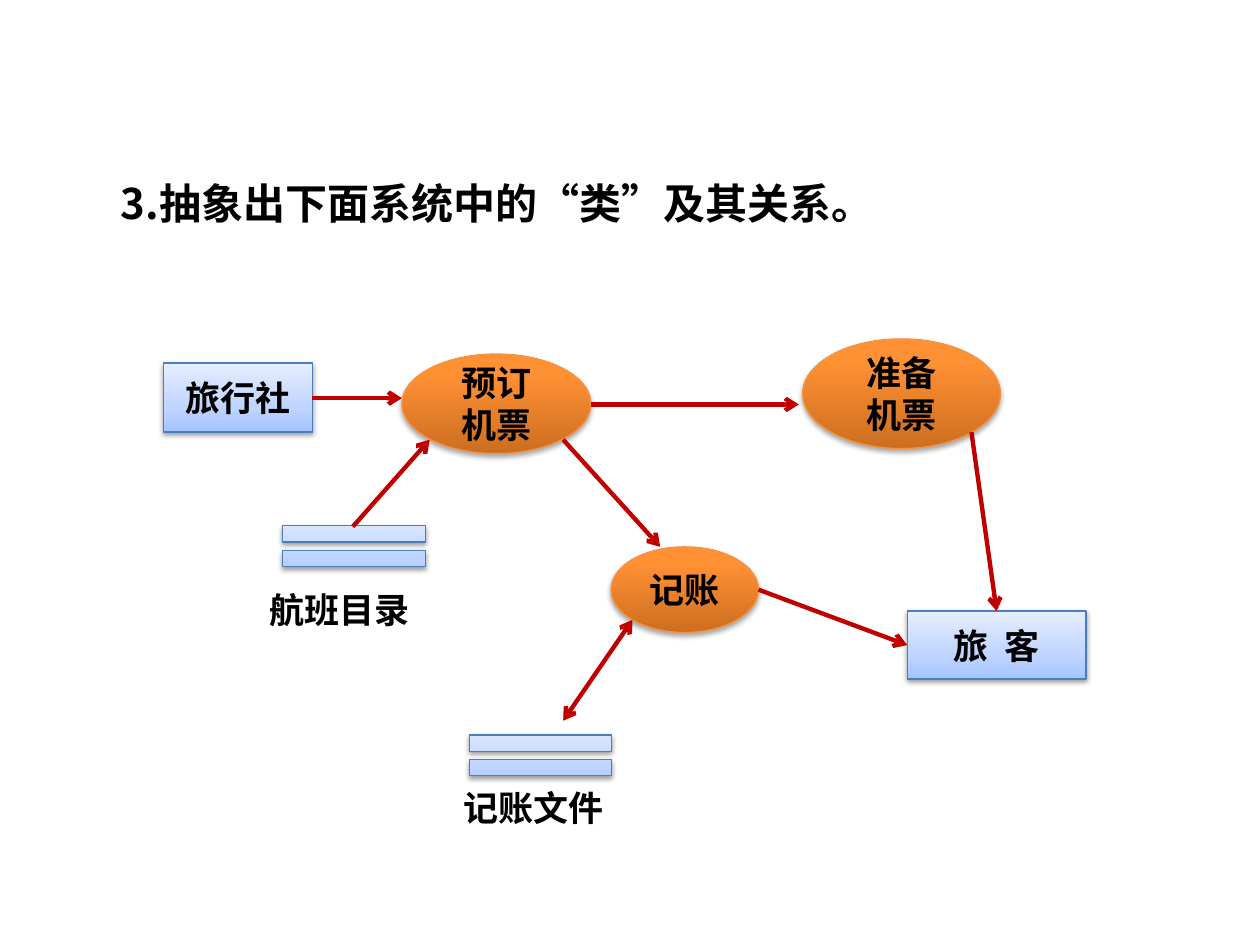
from lxml.etree import SubElement
from pptx import Presentation
from pptx.dml.color import RGBColor
from pptx.enum.shapes import MSO_CONNECTOR, MSO_SHAPE
from pptx.enum.text import MSO_ANCHOR, MSO_AUTO_SIZE, PP_ALIGN
from pptx.oxml.ns import qn
from pptx.util import Inches, Pt

CJK_FONT = "Noto Sans CJK SC"
BLUE = {"stops": [(0, "A4C4FF"), (35, "BFD4FF"), (100, "E6EEFF")],
        "line": "4B7EBC", "alpha": 38, "dist": 1.6}
ORANGE = {"stops": [(0, "CC6E20"), (80, "FF9034"), (100, "FF9136")],
          "line": "F69240", "alpha": 35, "dist": 1.8}


def color(value):
    return RGBColor.from_string(value)


def add_color(parent, value):
    return SubElement(parent, qn("a:srgbClr"), val=value)


def write(tf, lines, size=20, font="Calibri", align=None):
    tf.word_wrap = True
    for i, line in enumerate(lines):
        p = tf.paragraphs[0] if i == 0 else tf.add_paragraph()
        p.alignment = align
        r = p.add_run()
        r.text = line
        r.font.size = Pt(size)
        r.font.bold = True
        r.font.name = font
        r.font.color.rgb = color("000000")
        SubElement(r.font._element, qn("a:ea"), typeface=CJK_FONT)


def apply_style(s, style):
    s.fill.gradient()
    s.fill.gradient_angle = 90
    stops = s._element.spPr.find(qn("a:gradFill")).find(qn("a:gsLst"))
    for stop in list(stops):
        stops.remove(stop)
    for pos, value in style["stops"]:
        add_color(SubElement(stops, qn("a:gs"), pos=str(pos * 1000)), value)
    s.line.color.rgb = color(style["line"])
    s.line.width = Pt(0.75)
    s.shadow.inherit = False
    effects = s._element.spPr.find(qn("a:effectLst"))
    shadow = SubElement(effects, qn("a:outerShdw"), blurRad=str(Pt(3.1)),
                        dist=str(Pt(style["dist"])), dir="5400000", rotWithShape="0")
    SubElement(add_color(shadow, "000000"), qn("a:alpha"), val=str(style["alpha"] * 1000))


def add_node(slide, box, kind, style, lines=()):
    s = slide.shapes.add_shape(kind, *map(Inches, box))
    apply_style(s, style)
    s.text_frame.vertical_anchor = MSO_ANCHOR.MIDDLE
    write(s.text_frame, lines, align=PP_ALIGN.CENTER)


def add_label(slide, box, text, **font):
    tf = slide.shapes.add_textbox(*map(Inches, box)).text_frame
    write(tf, [text], **font)
    tf.auto_size = MSO_AUTO_SIZE.SHAPE_TO_FIT_TEXT


def add_arrow(slide, start, end, ends=("tailEnd",)):
    s = slide.shapes.add_connector(MSO_CONNECTOR.STRAIGHT, *map(Inches, start + end))
    s.line.color.rgb = color("C00000")
    s.line.width = Pt(2.5)
    for name in ends:
        SubElement(s.line._ln, qn(f"a:{name}"), type="arrow")
    SubElement(s._element.spPr, qn("a:effectLst"))


def add_diagram(slide):
    for box, text in [((1.3, 2.88, 1.18, 0.55), "旅行社"),
                      ((7.2, 4.85, 1.42, 0.54), "旅  客")]:
        add_node(slide, box, MSO_SHAPE.RECTANGLE, BLUE, [text])
    for box, lines in [((3.19, 2.81, 1.5, 0.79), ["预订", "机票"]),
                       ((6.37, 2.69, 1.57, 0.87), ["准备", "机票"]),
                       ((4.85, 4.34, 1.17, 0.68), ["记账"])]:
        add_node(slide, box, MSO_SHAPE.OVAL, ORANGE, lines)
    for left, top in [(2.04, 4.06), (3.52, 5.72)]:
        add_node(slide, (left, top, 1.54, 0.55), MSO_SHAPE.MATH_EQUAL, BLUE)
    add_label(slide, (2.04, 4.62, 1.48, 0.44), "航班目录")
    add_label(slide, (3.58, 6.19, 1.39, 0.44), "记账文件")
    for start, end in [((2.48, 3.16), (3.19, 3.16)),
                       ((4.69, 3.21), (6.34, 3.21)),
                       ((2.8, 4.18), (3.41, 3.49)),
                       ((4.47, 3.49), (5.24, 4.34)),
                       ((7.71, 3.43), (7.91, 4.85)),
                       ((6.02, 4.68), (7.2, 5.12))]:
        add_arrow(slide, start, end)
    add_arrow(slide, (5.02, 4.92), (4.47, 5.72), ("headEnd", "tailEnd"))


def main():
    prs = Presentation()
    prs.slide_width, prs.slide_height = Inches(10), Inches(7.5)
    slide = prs.slides.add_slide(prs.slide_layouts[6])
    add_label(slide, (0.86, 1.36, 7.09, 0.5), "3.抽象出下面系统中的“类”及其关系。",
              size=24, font=CJK_FONT)
    add_diagram(slide)
    prs.save("out.pptx")


if __name__ == "__main__":
    main()
